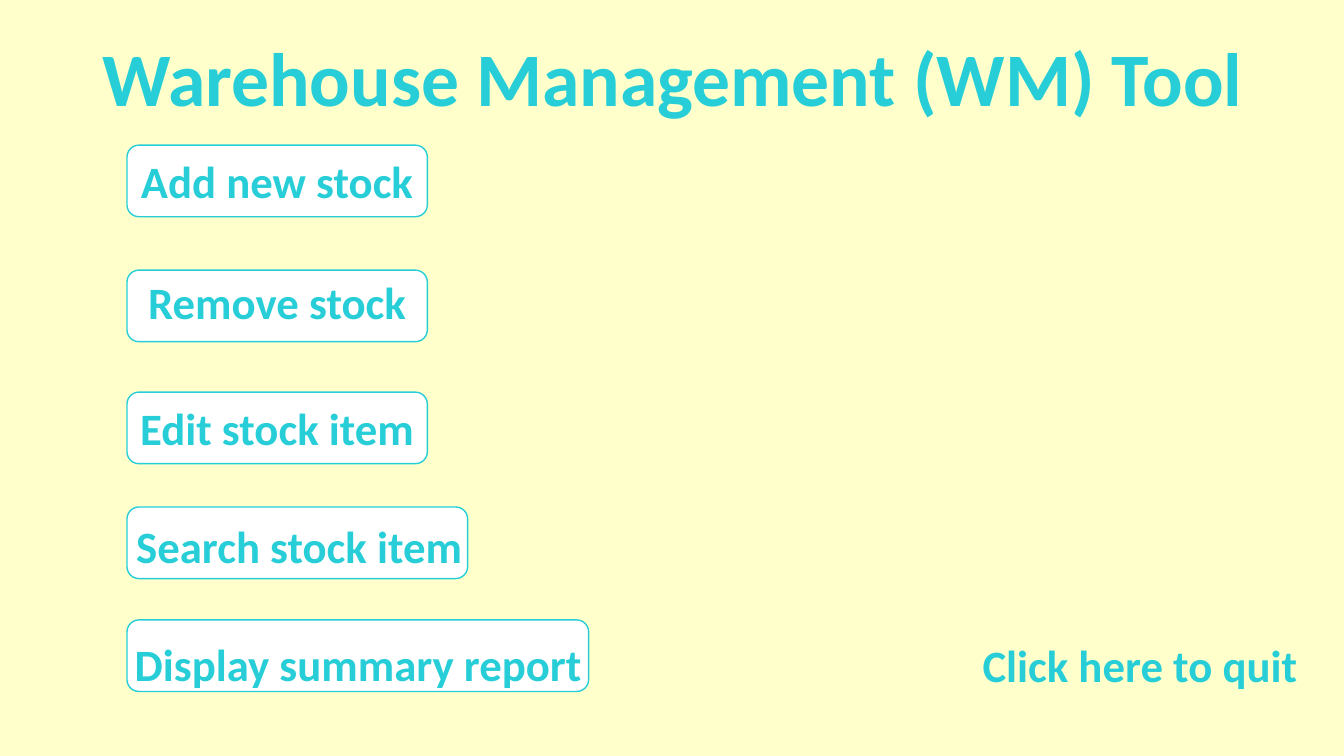
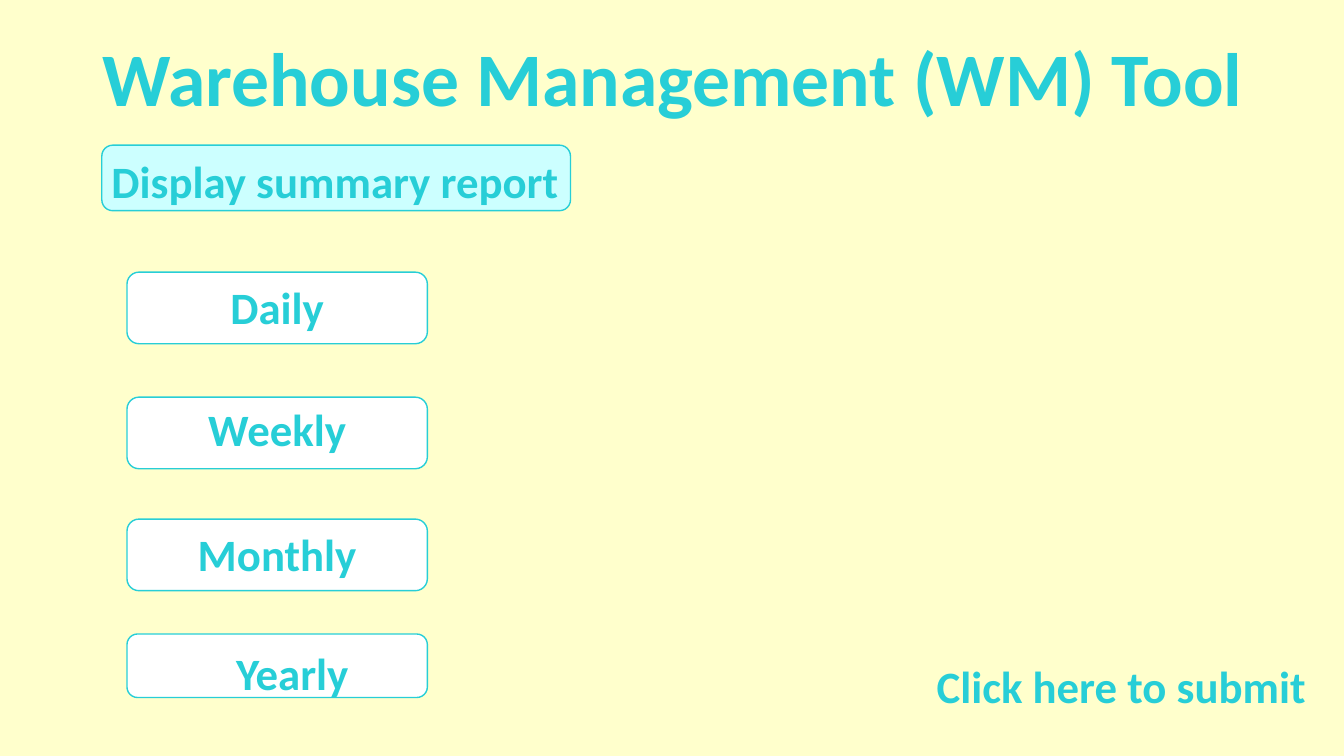
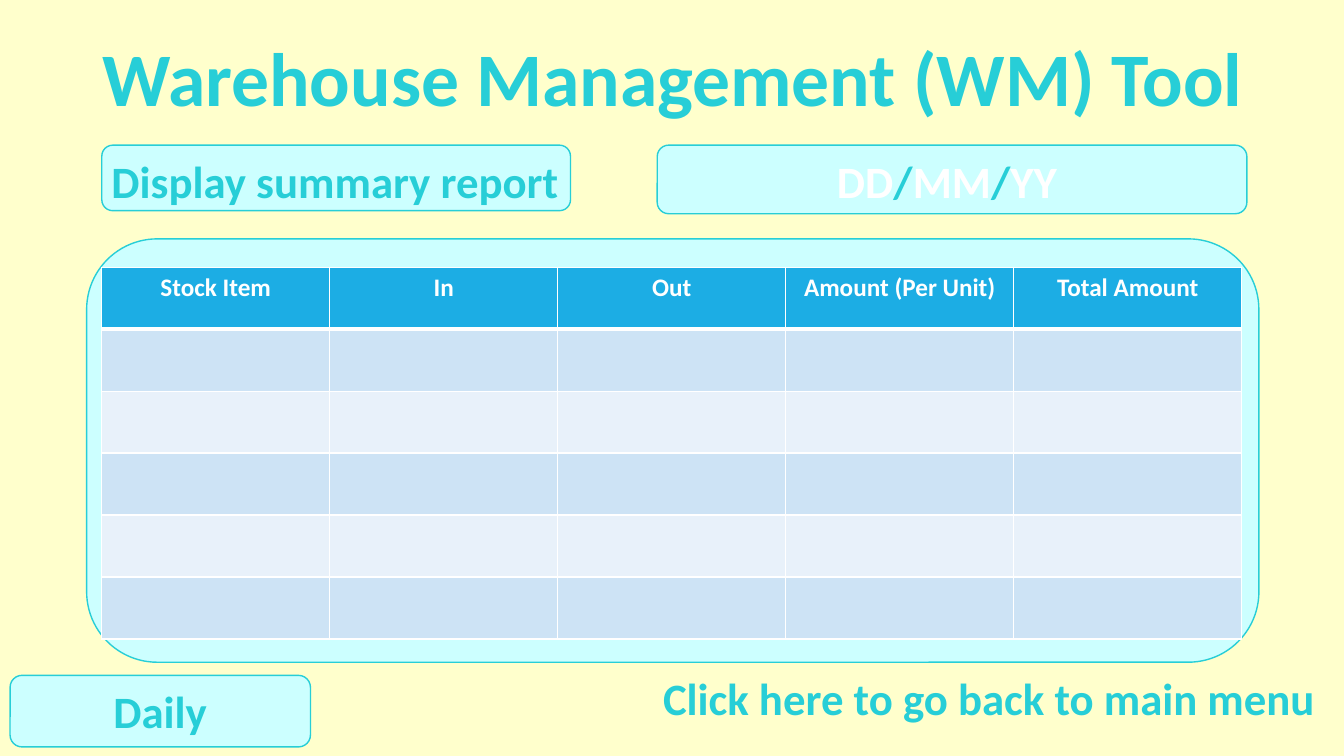
"""Build the three screens of the warehouse management tool."""
from typing import NamedTuple

from lxml.etree import SubElement
from pptx import Presentation
from pptx.dml.color import RGBColor
from pptx.enum.shapes import MSO_SHAPE
from pptx.enum.text import MSO_AUTO_SIZE, PP_ALIGN
from pptx.oxml.ns import qn
from pptx.slide import Slide
from pptx.table import _Cell
from pptx.text.text import _Paragraph
from pptx.util import Pt

CREAM = RGBColor(0xFF, 0xFF, 0xCC)
TEAL = RGBColor(0x27, 0xCE, 0xD7)
AQUA = RGBColor(0xCC, 0xFF, 0xFF)
WHITE = RGBColor(0xFF, 0xFF, 0xFF)
BLUE = RGBColor(0x1C, 0xAD, 0xE4)
BAND_DARK = RGBColor(0xCD, 0xE3, 0xF5)
BAND_LIGHT = RGBColor(0xE8, 0xF1, 0xFA)

FONT = {"name": "Calibri", "bold": True}
LABEL_SIZE, TITLE_SIZE, HEADER_SIZE = 32, 54, 18
LABEL_H = 46.08
MENU_X, MENU_W, MENU_H = 90.72, 214.56, 51.12
MENU_LABEL_X, MENU_LABEL_W = 61.92, 272.16
HEADERS = ("Stock Item", "In", "Out", "Amount (Per Unit)", "Total Amount")
BODY_ROWS = 5


class Box(NamedTuple):
    """Position and size in points."""
    left: float
    top: float
    width: float
    height: float = LABEL_H


class Run(NamedTuple):
    """Text in one colour."""
    text: str
    color: RGBColor = TEAL


class Button(NamedTuple):
    """A rounded frame with its separately placed label."""
    frame: Box
    label: Box
    runs: tuple[Run, ...]
    fill: RGBColor = WHITE


def menu_button(text: str, top: float, label_top: float, width: float = MENU_W,
                height: float = MENU_H, label_x: float = MENU_LABEL_X,
                label_w: float = MENU_LABEL_W) -> Button:
    """Describe a white button in the left-hand menu column."""
    return Button(Box(MENU_X, top, width, height),
                  Box(label_x, label_top, label_w), (Run(text),))


TITLE = Box(61.92, 18.72, 837.36, 72.72)
PANEL = Box(61.92, 170.64, 837.36, 302.4)
TABLE = Box(72.72, 190.8, 814.32, 265.68)
REPORT = Button(Box(72.72, 103.68, 334.8, 46.8), Box(61.92, 106.56, 354.96),
                (Run("Display summary report"),), AQUA)
DATE = Button(Box(469.44, 103.68, 421.2, 48.96), Box(453.6, 106.56, 445.68),
              (Run("DD", WHITE), Run("/"), Run("MM", WHITE), Run("/"),
               Run("YY", WHITE)), AQUA)
PERIOD = Button(Box(7.2, 482.4, MENU_W, MENU_H),
                Box(-21.6, 484.56, MENU_LABEL_W), (Run("Daily"),), AQUA)

MAIN_MENU = (
    menu_button("Add new stock", 103.68, 106.56),
    menu_button("Remove stock", 192.96, 192.96),
    menu_button("Edit stock item", 280.08, 282.96),
    menu_button("Search stock item", 362.16, 367.2, width=243.36,
                label_x=72.72, label_w=282.24),
    menu_button("Display summary report", 442.8, 451.44, width=329.76,
                label_x=79.2, label_w=353.52),
)
PERIOD_MENU = (
    menu_button("Daily", 194.4, 196.56),
    menu_button("Weekly", 283.68, 283.68),
    menu_button("Monthly", 370.8, 372.96),
    menu_button("Yearly", 452.88, 457.92, height=45.36, label_x=72.72),
    REPORT,
)


def points(box: Box) -> tuple[Pt, ...]:
    """Convert a box to lengths."""
    return tuple(Pt(v) for v in box)


def write(p: _Paragraph, runs: tuple[Run, ...], size: float) -> None:
    """Write centred runs in the shared font."""
    p.alignment = PP_ALIGN.CENTER
    for run in runs:
        r = p.add_run()
        r.text = run.text
        for name, value in {**FONT, "size": Pt(size)}.items():
            setattr(r.font, name, value)
        r.font.color.rgb = run.color


def add_text(s: Slide, box: Box, runs: tuple[Run, ...],
             size: float = LABEL_SIZE, wrap: bool = True) -> None:
    """Add a centred text box."""
    tf = s.shapes.add_textbox(*points(box)).text_frame
    tf.word_wrap = wrap
    tf.auto_size = MSO_AUTO_SIZE.SHAPE_TO_FIT_TEXT
    write(tf.paragraphs[0], runs, size)


def add_frame(s: Slide, box: Box, fill: RGBColor) -> None:
    """Add a rounded rectangle with a teal outline."""
    sp = s.shapes.add_shape(MSO_SHAPE.ROUNDED_RECTANGLE, *points(box))
    sp.shadow.inherit = False
    sp.fill.solid()
    sp.fill.fore_color.rgb = fill
    sp.line.color.rgb = TEAL
    sp.line.width = Pt(1)


def add_button(s: Slide, button: Button) -> None:
    """Add a frame and its label."""
    add_frame(s, button.frame, button.fill)
    add_text(s, button.label, button.runs)


def style_cell(cell: _Cell, fill: RGBColor, top: float, bottom: float) -> None:
    """Give a cell white borders and a solid fill."""
    tc_pr = cell._tc.get_or_add_tcPr()
    for side, width in {"L": 1, "R": 1, "T": top, "B": bottom}.items():
        ln = SubElement(tc_pr, qn(f"a:ln{side}"), w=str(Pt(width)))
        solid = SubElement(ln, qn("a:solidFill"))
        SubElement(solid, qn("a:srgbClr"), val=str(WHITE))
    cell.fill.solid()
    cell.fill.fore_color.rgb = fill


def add_stock_table(s: Slide) -> None:
    """Add the stock table with a header and empty banded rows."""
    table = s.shapes.add_table(BODY_ROWS + 1, len(HEADERS),
                               *points(TABLE)).table
    for row in table.rows:
        row.height = Pt(TABLE.height / (BODY_ROWS + 1))
    for col, header in enumerate(HEADERS):
        table.columns[col].width = Pt(TABLE.width / len(HEADERS))
        head = table.cell(0, col)
        style_cell(head, BLUE, 1, 3)
        write(head.text_frame.paragraphs[0], (Run(header, WHITE),), HEADER_SIZE)
        for row in range(1, BODY_ROWS + 1):
            style_cell(table.cell(row, col), BAND_DARK if row % 2 else BAND_LIGHT,
                       3 if row == 1 else 1, 1)


def add_screen(prs: Presentation, action: str, action_box: Box,
               buttons: tuple[Button, ...]) -> Slide:
    """Add a screen with the title, buttons and action text."""
    s = prs.slides.add_slide(prs.slide_layouts[6])
    add_text(s, TITLE, (Run("Warehouse Management (WM) Tool"),), TITLE_SIZE, False)
    for button in buttons:
        add_button(s, button)
    add_text(s, action_box, (Run(action),))
    return s


def main() -> None:
    """Build and save the presentation."""
    prs = Presentation()
    prs.slide_width, prs.slide_height = Pt(960), Pt(540)
    background = prs.slide_master.background.fill
    background.solid()
    background.fore_color.rgb = CREAM

    add_screen(prs, "Click here to quit", Box(678.24, 452.16, 272.16), MAIN_MENU)
    add_screen(prs, "Click here to submit", Box(642.24, 467.28, 317.52),
               PERIOD_MENU)
    s = add_screen(prs, "Click here to go back to main menu",
                   Box(453.6, 475.92, 506.16), (PERIOD, REPORT))
    add_frame(s, PANEL, AQUA)
    add_stock_table(s)
    add_button(s, DATE)
    prs.save("out.pptx")


main()
